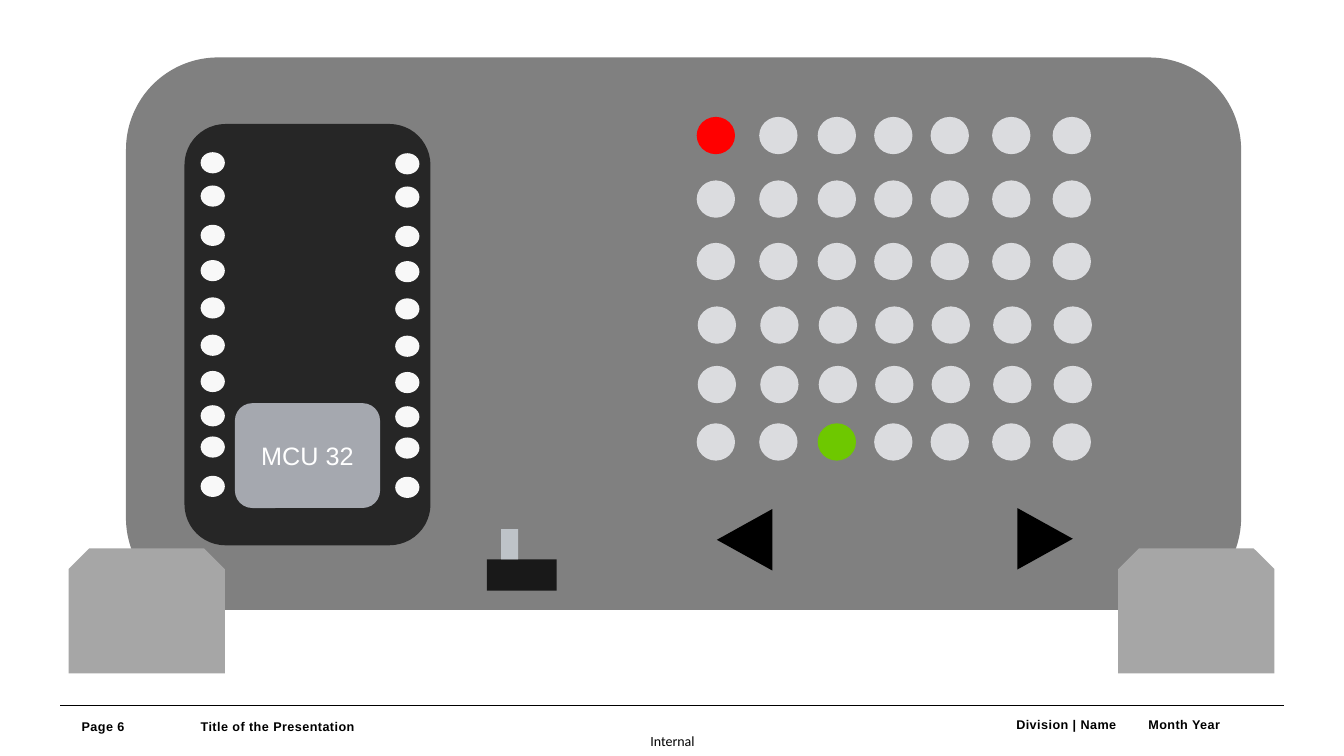
from dataclasses import dataclass

from lxml.etree import SubElement
from pptx import Presentation
from pptx.dml.color import RGBColor
from pptx.enum.shapes import MSO_CONNECTOR, MSO_SHAPE
from pptx.enum.text import MSO_ANCHOR, PP_ALIGN
from pptx.oxml.ns import qn
from pptx.slide import Slide
from pptx.text.text import _Paragraph
from pptx.util import Emu, Pt

EMU_PER_PX = 9144

COLOURS = {
    "black": "000000",
    "white": "FFFFFF",
    "casing": "808080",
    "board": "262626",
    "chip": "A5A8AF",
    "led_off": "DBDCDF",
    "led_red": "FF0000",
    "led_green": "6EC800",
    "pin": "F8F8F8",
    "switch": "191919",
    "lever": "BEC3C8",
    "foot": "A6A6A6",
}

LED_COLUMNS = (691, 753, 811, 867, 923, 984, 1044)
LED_ROWS = (116, 179, 241, 304, 363, 420)
SHIFTED_LED_ROWS = (3, 4)
LIT_LEDS = {(0, 0): "led_red", (5, 2): "led_green"}
PIN_ROWS = (151, 184, 223, 258, 295, 332, 368, 402, 433, 472)
PIN_COLUMNS = ((199, 0), (392, 1))


@dataclass(frozen=True)
class Part:
    left: int
    top: int
    width: int
    height: int
    colour: str
    kind: MSO_SHAPE = MSO_SHAPE.FLOWCHART_CONNECTOR
    rotation: int = 0
    label: str = ""


@dataclass(frozen=True)
class FooterText:
    left: int
    top: int
    width: int
    height: int
    text: str
    font: str = "Arial"
    size: int = 9
    bold: bool = True
    spacing: int = 30
    align: PP_ALIGN = PP_ALIGN.LEFT
    anchor: MSO_ANCHOR = MSO_ANCHOR.TOP
    tabs: tuple[int, ...] = ()


CASE_PARTS = [
    Part(125, 57, 1106, 548, "casing", MSO_SHAPE.ROUNDED_RECTANGLE),
    Part(183, 123, 244, 418, "board", MSO_SHAPE.ROUNDED_RECTANGLE),
    Part(233, 400, 144, 104, "chip", MSO_SHAPE.ROUNDED_RECTANGLE, label="MCU 32"),
    Part(708, 508, 61, 55, "black", MSO_SHAPE.ISOSCELES_TRIANGLE, rotation=270),
    Part(1006, 507, 61, 55, "black", MSO_SHAPE.ISOSCELES_TRIANGLE, rotation=90),
]
LEDS = [
    Part(left + (row in SHIFTED_LED_ROWS), top, 38, 37,
         LIT_LEDS.get((row, column), "led_off"))
    for row, top in enumerate(LED_ROWS)
    for column, left in enumerate(LED_COLUMNS)
]
PINS = [
    Part(left, top + drop, 24, 21, "pin")
    for left, drop in PIN_COLUMNS
    for top in PIN_ROWS
]
SWITCH_PARTS = [
    Part(483, 555, 69, 31, "switch", MSO_SHAPE.RECTANGLE),
    Part(497, 525, 17, 30, "lever", MSO_SHAPE.RECTANGLE),
]
FEET = [
    Part(left, 544, 155, 124, "foot", MSO_SHAPE.SNIP_2_SAME_RECTANGLE)
    for left in (68, 1109)
]
FOOTER = [
    FooterText(630, 721, 74, 29, "Internal", "Calibri", 10, False, 0,
               PP_ALIGN.CENTER, MSO_ANCHOR.MIDDLE),
    FooterText(887, 711, 360, 22, "\tDivision | Name\tMonth Year", tabs=(121, 252)),
    FooterText(199, 713, 465, 22, "Title of the Presentation"),
    FooterText(81, 713, 87, 22, "Page 6"),
]


def px(length: int) -> Emu:
    return Emu(length * EMU_PER_PX)


def colour(name: str) -> RGBColor:
    return RGBColor.from_string(COLOURS[name])


def set_font(para: _Paragraph, name: str, size: int, bold: bool, ink: str) -> None:
    para.font.name = name
    para.font.size = Pt(size)
    para.font.bold = bold
    para.font.color.rgb = colour(ink)


def draw_part(page: Slide, part: Part) -> None:
    shape = page.shapes.add_shape(
        part.kind, px(part.left), px(part.top), px(part.width), px(part.height))
    shape.rotation = part.rotation
    shape.shadow.inherit = False
    shape.fill.solid()
    shape.fill.fore_color.rgb = colour(part.colour)
    shape.line.fill.background()
    if part.label:
        frame = shape.text_frame
        frame.vertical_anchor = MSO_ANCHOR.MIDDLE
        para = frame.paragraphs[0]
        para.text = part.label
        para.alignment = PP_ALIGN.CENTER
        set_font(para, "Arial", 18, False, "white")


def draw_footer_text(page: Slide, item: FooterText) -> None:
    box = page.shapes.add_textbox(
        px(item.left), px(item.top), px(item.width), px(item.height))
    frame = box.text_frame
    frame.word_wrap = True
    frame.vertical_anchor = item.anchor
    frame.margin_left = frame.margin_right = 0
    frame.margin_top = frame.margin_bottom = 0
    para = frame.paragraphs[0]
    para.text = item.text
    para.alignment = item.align
    properties = para._p.get_or_add_pPr()
    if item.tabs:
        tab_list = SubElement(properties, qn("a:tabLst"))
        for stop in item.tabs:
            SubElement(tab_list, qn("a:tab"), pos=str(px(stop)), algn="l")
    set_font(para, item.font, item.size, item.bold, "black")
    if item.spacing:
        properties.find(qn("a:defRPr")).set("spc", str(item.spacing))


def draw_footer_rule(page: Slide) -> None:
    rule = page.shapes.add_connector(
        MSO_CONNECTOR.STRAIGHT, px(60), px(700), px(1273), px(700))
    rule.line.color.rgb = colour("black")
    rule.line.width = Pt(0.5)
    SubElement(rule._element.spPr, qn("a:effectLst"))


def main() -> None:
    deck = Presentation()
    deck.slide_width, deck.slide_height = px(1333), px(750)
    page = deck.slides.add_slide(deck.slide_layouts[6])
    draw_footer_rule(page)
    for item in FOOTER:
        draw_footer_text(page, item)
    for part in CASE_PARTS + LEDS + PINS + SWITCH_PARTS + FEET:
        draw_part(page, part)
    deck.save("out.pptx")


if __name__ == "__main__":
    main()
